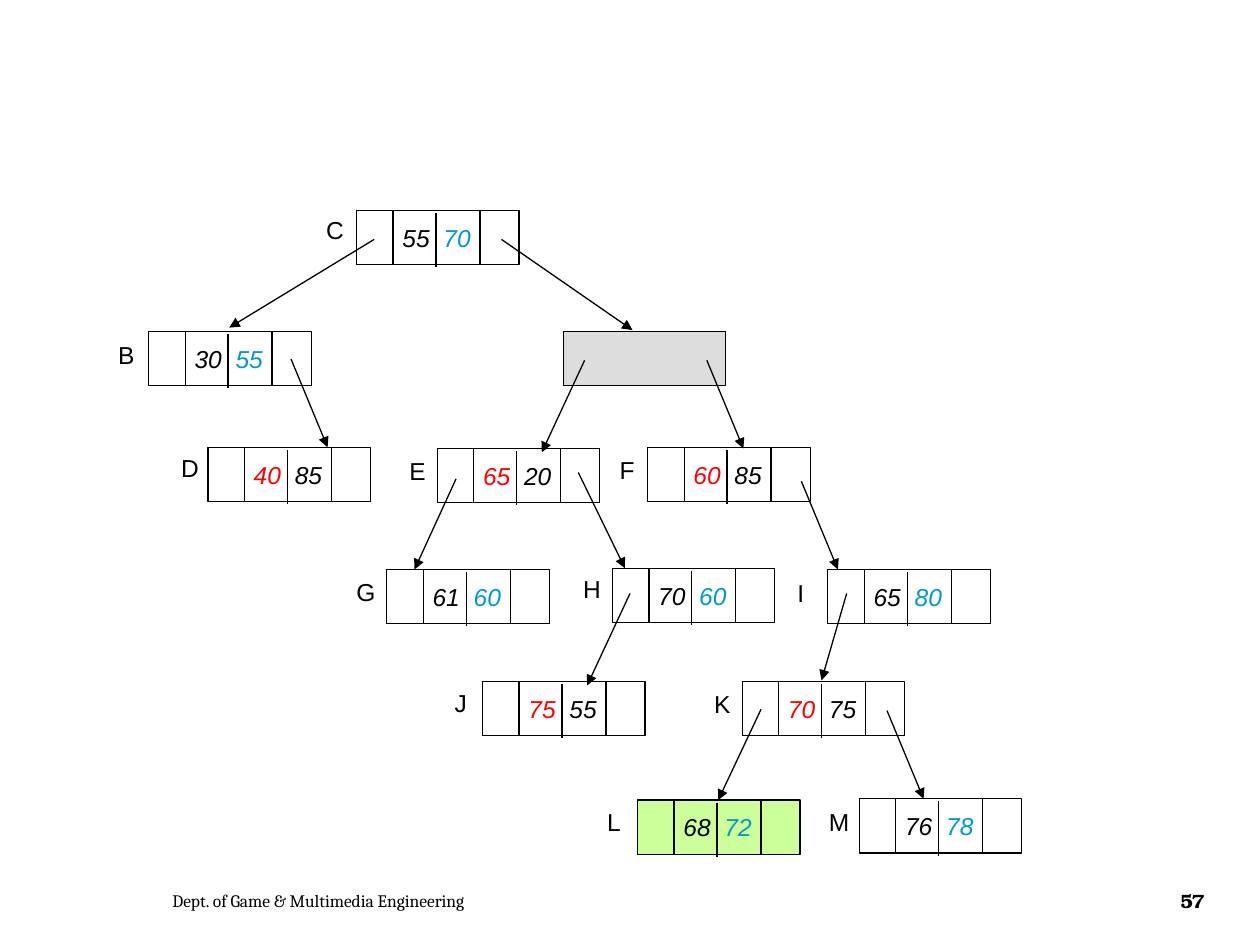
from pptx import Presentation
from pptx.dml.color import RGBColor
from pptx.enum.shapes import MSO_CONNECTOR, MSO_SHAPE
from pptx.enum.text import MSO_ANCHOR, MSO_AUTO_SIZE, PP_ALIGN
from pptx.oxml.ns import qn
from pptx.util import Inches, Pt
from lxml.etree import SubElement

THEME = {
    "ink": "000000", "first": "FF0000", "second": "0099CC",
    "empty": "DDDDDD", "inserted": "CCFF99",
    "font": "Arial", "footer_font": "Cambria", "number_font": "TeX Gyre Bonum",
    "node_size": 14, "footer_size": 10, "number_size": 11, "line": 0.75,
}

NODES = [
    ("C", (2.83, 1.67), ("55", "70"), "second", (2.49, 1.66, 0.34)),
    ("B", (1.18, 2.63), ("30", "55"), "second", (0.84, 2.65, 0.33)),
    ("E", (3.47, 3.56), ("65", "20"), "first", (3.15, 3.57, 0.33)),
    ("F", (5.14, 3.55), ("60", "85"), "first", (4.82, 3.56, 0.32)),
    ("G", (3.07, 4.52), ("61", "60"), "second", (2.73, 4.53, 0.35)),
    ("D", (1.65, 3.55), ("40", "85"), "first", (1.34, 3.55, 0.34)),
    ("H", (4.86, 4.51), ("70", "60"), "second", (4.53, 4.51, 0.34)),
    ("J", (3.83, 5.41), ("75", "55"), "first", (3.51, 5.41, 0.30)),
    ("K", (5.89, 5.41), ("70", "75"), "first", (5.57, 5.42, 0.33)),
    ("I", (6.57, 4.52), ("65", "80"), "second", (6.23, 4.54, 0.26)),
    ("M", (6.82, 6.34), ("76", "78"), "second", (6.48, 6.36, 0.36)),
    ("L", (5.06, 6.35), ("68", "72"), "second", (4.72, 6.36, 0.31)),
]
INSERTED = "L"
EMPTY_NODE = (4.47, 2.63)

ARROWS = [
    ((2.97, 1.90), (1.82, 2.60)), ((3.98, 1.90), (5.02, 2.62)),
    ((2.31, 2.85), (2.60, 3.55)),
    ((4.64, 2.86), (4.30, 3.59)), ((5.61, 2.86), (5.90, 3.56)),
    ((3.62, 3.80), (3.29, 4.52)), ((4.59, 3.75), (4.96, 4.51)),
    ((6.36, 3.82), (6.65, 4.52)), ((5.00, 4.71), (4.66, 5.44)),
    ((6.72, 4.71), (6.52, 5.40)), ((6.04, 5.63), (5.70, 6.35)),
    ((7.04, 5.64), (7.33, 6.34)),
]

FOOTER = ("Dept. of Game & Multimedia Engineering", (1.27, 6.95, 4.59, 0.4))
PAGE_NUMBER = ("57", (9.2, 6.95, 0.53, 0.4))

NODE_WIDTH, NODE_HEIGHT = 1.29, 0.43
KEYS_WIDTH = 0.69
KEYS_OFFSET = 0.29
DIVIDER_X, DIVIDER_Y = 0.63, 0.02
LABEL_HEIGHT = 0.33
KEY_GAP = Pt(3.9)


def color(name):
    return RGBColor.from_string(THEME[name])


def style(span, font, size, ink="ink"):
    span.font.name = THEME[font]
    span.font.size = Pt(THEME[size])
    span.font.color.rgb = color(ink)


def add_box(page, left, top, width, fill=None):
    box = page.shapes.add_shape(MSO_SHAPE.RECTANGLE, Inches(left), Inches(top),
                                Inches(width), Inches(NODE_HEIGHT))
    box.shadow.inherit = False
    if fill:
        box.fill.solid()
        box.fill.fore_color.rgb = color(fill)
    else:
        box.fill.background()
    box.line.color.rgb = color("ink")
    box.line.width = Pt(THEME["line"])
    return box


def add_line(page, start, end, arrow=False):
    line = page.shapes.add_connector(MSO_CONNECTOR.STRAIGHT,
                                     *(Inches(value) for value in start + end))
    line.line.color.rgb = color("ink")
    line.line.width = Pt(THEME["line"])
    if arrow:
        SubElement(line.line._get_or_add_ln(), qn("a:tailEnd"), type="triangle")
    SubElement(line._element.spPr, qn("a:effectLst"))


def add_text(page, text, place, font, size, wrap=True):
    box = page.shapes.add_textbox(*(Inches(value) for value in place))
    frame = box.text_frame
    frame.text = text
    frame.word_wrap = wrap
    style(frame.paragraphs[0].runs[0], font, size)
    return frame


def add_node(page, name, corner, keys, compared, label):
    left, top = corner
    fill = "inserted" if name == INSERTED else None
    add_box(page, left, top, NODE_WIDTH, fill)
    frame = add_box(page, left + KEYS_OFFSET, top, KEYS_WIDTH, fill).text_frame
    frame.word_wrap = False
    frame.vertical_anchor = MSO_ANCHOR.MIDDLE
    para = frame.paragraphs[0]
    para.alignment = PP_ALIGN.CENTER
    inks = [slot if slot == compared else "ink" for slot in ("first", "second")]
    for text, ink in ((keys[0], inks[0]), (" ", "ink"), (keys[1], inks[1])):
        span = para.add_run()
        span.text = text
        style(span, "font", "node_size", ink)
        span.font.italic = True
    para.runs[1].font._element.set("spc", str(round(KEY_GAP.pt * 100)))
    middle = left + DIVIDER_X
    add_line(page, (middle, top + DIVIDER_Y), (middle, top + DIVIDER_Y + NODE_HEIGHT))
    label_frame = add_text(page, name, label + (LABEL_HEIGHT,), "font", "node_size", False)
    label_frame.auto_size = MSO_AUTO_SIZE.SHAPE_TO_FIT_TEXT


def main():
    deck = Presentation()
    deck.slide_width, deck.slide_height = Inches(10), Inches(7.5)
    page = deck.slides.add_slide(deck.slide_layouts[6])
    add_box(page, *EMPTY_NODE, NODE_WIDTH, "empty")
    for node in NODES:
        add_node(page, *node)
    for start, end in ARROWS:
        add_line(page, start, end, arrow=True)
    footer = add_text(page, *FOOTER, "footer_font", "footer_size")
    footer.vertical_anchor = MSO_ANCHOR.MIDDLE
    number = add_text(page, *PAGE_NUMBER, "number_font", "number_size")
    number.vertical_anchor = MSO_ANCHOR.MIDDLE
    para = number.paragraphs[0]
    para.alignment = PP_ALIGN.CENTER
    para.runs[0].font.bold = True
    para.runs[0].font._element.set("spc", "-70")
    deck.save("out.pptx")


if __name__ == "__main__":
    main()
